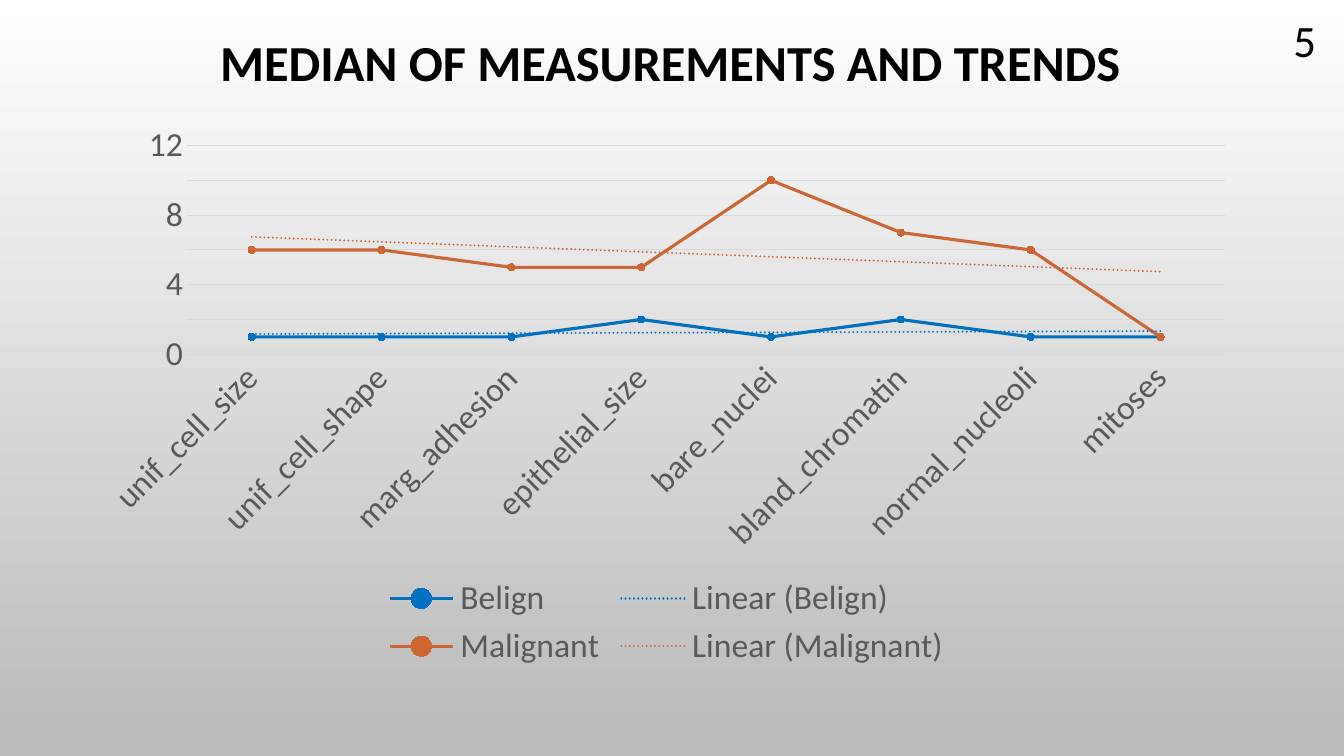
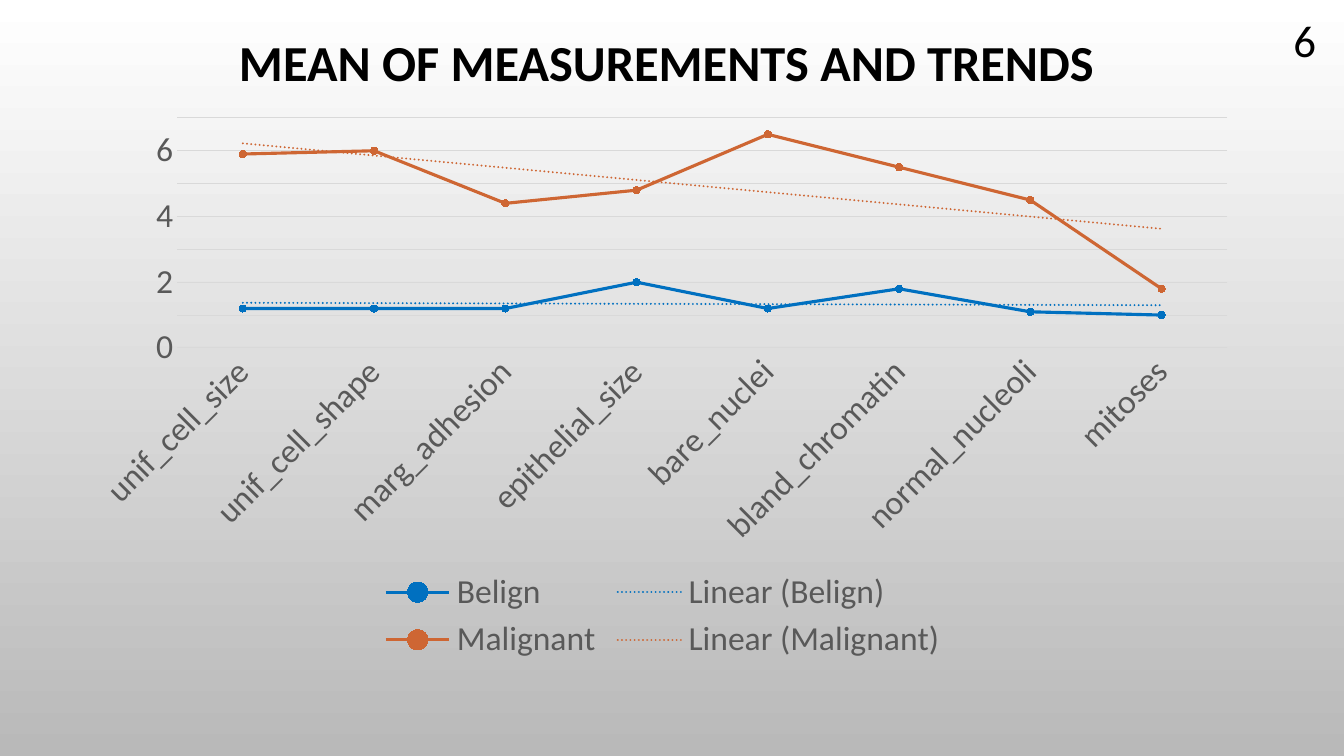
"""Build two slides that compare tumour measurements as line charts with trends."""
from dataclasses import dataclass

from pptx import Presentation
from pptx.chart.data import CategoryChartData
from pptx.dml.color import RGBColor
from pptx.enum.chart import XL_CHART_TYPE, XL_LEGEND_POSITION, XL_MARKER_STYLE, XL_TICK_MARK
from pptx.enum.text import MSO_ANCHOR, MSO_AUTO_SIZE, PP_ALIGN
from pptx.oxml import parse_xml
from pptx.oxml.ns import nsdecls, qn
from pptx.util import Cm, Pt

LINE_MARKERS = XL_CHART_TYPE.LINE_MARKERS
LEGEND_BOTTOM = XL_LEGEND_POSITION.BOTTOM
CIRCLE = XL_MARKER_STYLE.CIRCLE
NO_TICK = XL_TICK_MARK.NONE
MIDDLE = MSO_ANCHOR.MIDDLE
NO_AUTOFIT = MSO_AUTO_SIZE.NONE
CENTER, RIGHT = PP_ALIGN.CENTER, PP_ALIGN.RIGHT
TITLE_ONLY = 5
LABEL_ROTATION = "-2700000"


@dataclass(frozen=True)
class Theme:
    """Hold the colours, font and type sizes shared by the slides."""

    font: str = "Calibri"
    text: str = "000000"
    label: str = "595959"
    grid: str = "D9D9D9"
    background: tuple = ("FFFFFF", "B9B9B9")
    series: tuple = ("0070C0", "CE6633")
    title_size: int = 36
    number_size: int = 32
    chart_size: int = 24
    grid_width: float = 0.75
    series_width: float = 2.25
    trend_width: float = 1.5
    marker_size: int = 5


THEME = Theme()

CATEGORIES = (
    "unif_cell_size", "unif_cell_shape", "marg_adhesion", "epithelial_size",
    "bare_nuclei", "bland_chromatin", "normal_nucleoli", "mitoses",
)

SLIDES = (
    {
        "title": "MEDIAN OF MEASUREMENTS AND TRENDS",
        "title_box": (2.41, -0.69, 28.98, 4.67),
        "number": "5",
        "chart_box": (2.11, 2.87, 29.36, 14.1),
        "scale": (12, 2),
        "series": {
            "Belign": (1, 1, 1, 2, 1, 2, 1, 1),
            "Malignant": (6, 6, 5, 5, 10, 7, 6, 1),
        },
    },
    {
        "title": "MEAN OF MEASUREMENTS AND TRENDS",
        "title_box": (2.21, -0.69, 29.18, 4.67),
        "number": "6",
        "chart_box": (1.88, 2.69, 29.64, 14.12),
        "scale": (7, 1),
        "series": {
            "Belign": (1.2, 1.2, 1.2, 2, 1.2, 1.8, 1.1, 1),
            "Malignant": (5.9, 6, 4.4, 4.8, 6.5, 5.5, 4.5, 1.8),
        },
    },
)


def color(value):
    """Return the colour for a hex string."""
    return RGBColor.from_string(value)


def style_font(font, size, value, bold=False):
    """Apply the theme font with a size and colour."""
    font.name = THEME.font
    font.size = Pt(size)
    font.bold = bold
    font.color.rgb = color(value)


def style_line(line, value, width):
    """Apply a solid colour and a width to a line."""
    line.color.rgb = color(value)
    line.width = Pt(width)


def set_background(master):
    """Give every slide the vertical gradient."""
    fill = master.background.fill
    fill.gradient()
    fill.gradient_angle = 270
    for stop, value in zip(fill.gradient_stops, THEME.background):
        stop.color.rgb = color(value)


def write_line(shape, text, size, alignment, bold=False):
    """Write one vertically centred line into a shape and return its paragraph."""
    frame = shape.text_frame
    frame.word_wrap = True
    frame.auto_size = NO_AUTOFIT
    frame.vertical_anchor = MIDDLE
    paragraph = frame.paragraphs[0]
    paragraph.alignment = alignment
    run = paragraph.add_run()
    run.text = text
    style_font(run.font, size, THEME.text, bold)
    return paragraph


def add_title(slide, text, box):
    """Place and fill the title placeholder."""
    title = slide.shapes.title
    title.left, title.top, title.width, title.height = map(Cm, box)
    paragraph = write_line(title, text, THEME.title_size, CENTER, bold=True)
    paragraph.line_spacing = 0.9


def add_number(slide, text):
    """Put the slide number in the top right corner."""
    box = slide.shapes.add_textbox(Cm(31.29), Cm(0.48), Cm(2.13), Cm(1.04))
    write_line(box, text, THEME.number_size, RIGHT)


def add_trend(series, value):
    """Add a dotted linear trend line to a series."""
    trend = parse_xml(
        f'<c:trendline {nsdecls("c", "a")}><c:spPr>'
        f'<a:ln w="{Pt(THEME.trend_width)}" cap="rnd"><a:solidFill>'
        f'<a:srgbClr val="{value}"/></a:solidFill><a:prstDash val="sysDot"/></a:ln>'
        '</c:spPr><c:trendlineType val="linear"/>'
        '<c:dispRSqr val="0"/><c:dispEq val="0"/></c:trendline>'
    )
    series._element.find(qn("c:cat")).addprevious(trend)


def style_series(series, value):
    """Colour the line, the markers and the trend of a series."""
    series.smooth = False
    style_line(series.format.line, value, THEME.series_width)
    marker = series.marker
    marker.style = CIRCLE
    marker.size = THEME.marker_size
    marker.format.fill.solid()
    marker.format.fill.fore_color.rgb = color(value)
    style_line(marker.format.line, value, THEME.grid_width)
    add_trend(series, value)


def style_axes(chart, maximum, step):
    """Format both axes, the grid and the slanted category labels."""
    category_axis, value_axis = chart.category_axis, chart.value_axis
    for axis in (category_axis, value_axis):
        axis.major_tick_mark = axis.minor_tick_mark = NO_TICK
        style_font(axis.tick_labels.font, THEME.chart_size, THEME.label)
    style_line(category_axis.format.line, THEME.grid, THEME.grid_width)
    body = category_axis._element.find(qn("c:txPr")).find(qn("a:bodyPr"))
    body.set("rot", LABEL_ROTATION)
    value_axis.format.line.fill.background()
    value_axis.minimum_scale = 0
    value_axis.maximum_scale = maximum
    value_axis.major_unit = step
    value_axis.has_major_gridlines = True
    style_line(value_axis.major_gridlines.format.line, THEME.grid, THEME.grid_width)


def add_trend_chart(slide, box, scale, values_by_name):
    """Add a line chart with one trend line for each series."""
    data = CategoryChartData()
    data.categories = CATEGORIES
    for name, values in values_by_name.items():
        data.add_series(name, values)
    chart = slide.shapes.add_chart(LINE_MARKERS, *map(Cm, box), data).chart
    style_font(chart.font, THEME.chart_size, THEME.text)
    chart.has_title = False
    chart.has_legend = True
    chart.legend.position = LEGEND_BOTTOM
    chart.legend.include_in_layout = False
    style_font(chart.legend.font, THEME.chart_size, THEME.label)
    style_axes(chart, *scale)
    plot = chart.plots[0]
    plot.vary_by_categories = False
    for series, value in zip(plot.series, THEME.series):
        style_series(series, value)


def main():
    """Build and save the presentation."""
    presentation = Presentation()
    presentation.slide_width, presentation.slide_height = Cm(33.87), Cm(19.05)
    set_background(presentation.slide_master)
    for content in SLIDES:
        slide = presentation.slides.add_slide(presentation.slide_layouts[TITLE_ONLY])
        add_trend_chart(slide, content["chart_box"], content["scale"], content["series"])
        add_title(slide, content["title"], content["title_box"])
        add_number(slide, content["number"])
    presentation.save("out.pptx")


if __name__ == "__main__":
    main()
